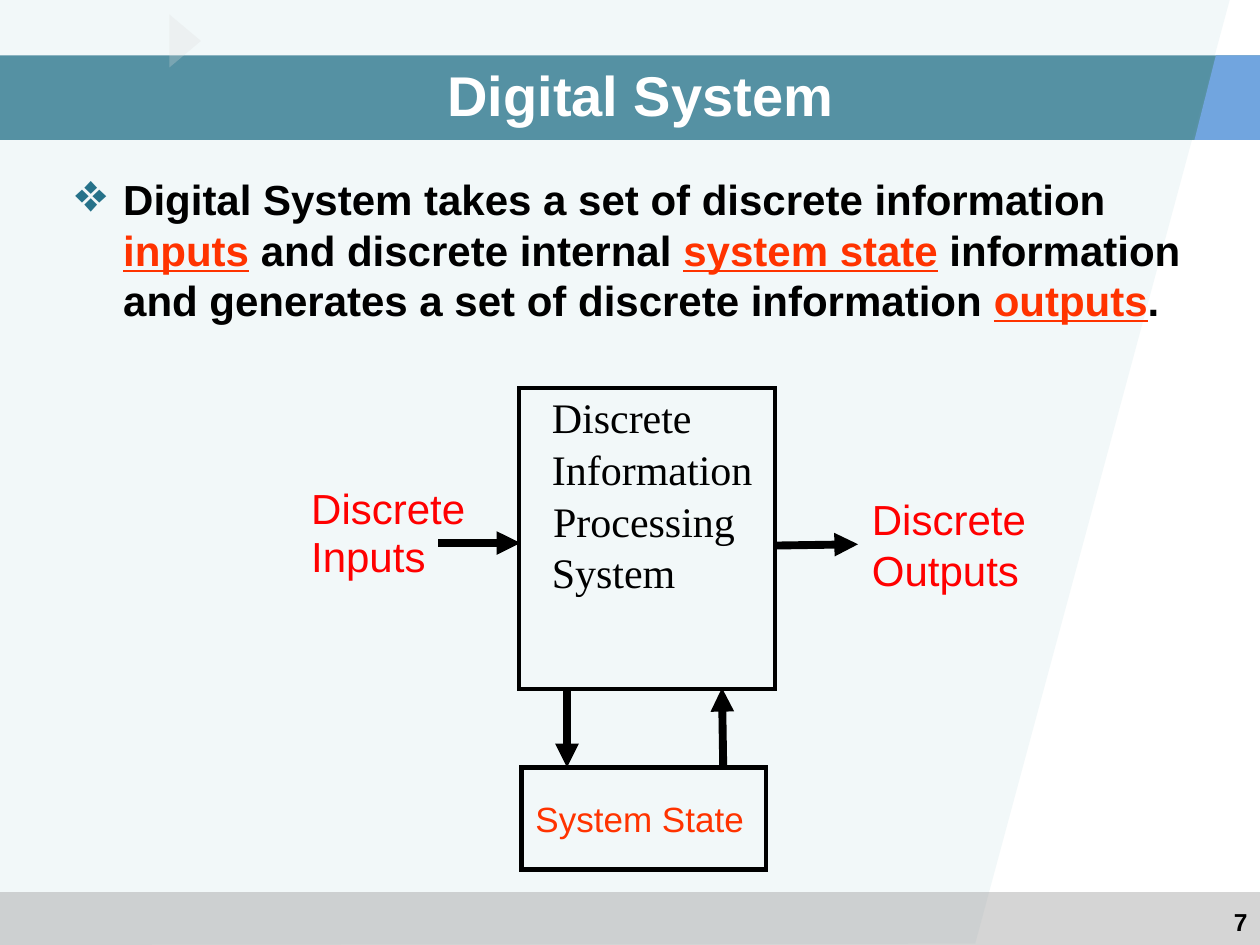
from lxml import etree
from pptx import Presentation
from pptx.dml.color import RGBColor
from pptx.enum.shapes import MSO_CONNECTOR, MSO_SHAPE
from pptx.enum.text import MSO_ANCHOR, MSO_AUTO_SIZE, PP_ALIGN
from pptx.oxml.ns import qn
from pptx.util import Inches, Pt

RECT, TRI = MSO_SHAPE.RECTANGLE, MSO_SHAPE.ISOSCELES_TRIANGLE
LEFT, MID, RIGHT = PP_ALIGN.LEFT, PP_ALIGN.CENTER, PP_ALIGN.RIGHT
GROW = MSO_AUTO_SIZE.SHAPE_TO_FIT_TEXT
BLACK, WHITE, RED, ORANGE, TEAL = "000000", "FFFFFF", "FF0000", "FF3300", "26728A"


def paint(shape, color, alpha=100):
    """Fill a shape with one colour, without line or shadow."""
    shape.shadow.inherit = False
    shape.line.fill.background()
    shape.fill.solid()
    shape.fill.fore_color.rgb = RGBColor.from_string(color)
    if alpha < 100:
        tone = shape.fill._xPr.find(qn("a:solidFill"))[0]
        etree.SubElement(tone, qn("a:alpha"), val=str(alpha * 1000))


def write(place, runs, size, bold=False, font="Arial", align=LEFT, wrap=True, pad=True):
    """Add a text box; runs are (text, colour, underline)."""
    frame = slide.shapes.add_textbox(*map(Inches, place)).text_frame
    frame.word_wrap = wrap
    if not pad:
        frame.margin_left = frame.margin_right = 0
        frame.margin_top = frame.margin_bottom = 0
    par = frame.paragraphs[0]
    par.alignment = align
    for text, color, line in runs:
        run = par.add_run()
        run.text = text
        run.font.name, run.font.size = font, Pt(size)
        run.font.bold, run.font.underline = bold, line
        run.font.color.rgb = RGBColor.from_string(color)
    return frame


deck = Presentation()
deck.slide_width, deck.slide_height = Inches(10), Inches(7.5)
slide = deck.slides.add_slide(deck.slide_layouts[6])
shapes = slide.shapes

# Backdrop: slanted panel, footer, title band, corner, small triangle
panel = [(0, 0), (9.76, 0), (7.74, 7.49), (0, 7.5)]
corner = [(9.65, 0.44), (9.48, 1.11), (10, 1.11), (10, 0.44)]
for item, color, alpha in [
    (panel, "9FCAD3", 13),
    ((RECT, 0, 7.08, 10, 0.42, 0), "969696", 40),
    ((RECT, 0, 0.44, 10, 0.67, 0), TEAL, 77),
    (corner, "71A5DF", 100),
    ((TRI, 1.26, 0.2, 0.42, 0.25, 90), "DDDDDD", 27),
]:
    if isinstance(item, list):
        points = [(Inches(x), Inches(y)) for x, y in item]
        path = shapes.build_freeform(*points[0])
        path.add_line_segments(points[1:], close=True)
        shape = path.convert_to_shape()
    else:
        kind, *place, turn = item
        shape = shapes.add_shape(kind, *map(Inches, place))
        shape.rotation = turn
    paint(shape, color, alpha)

# Page number and title
write((7.67, 7.15, 2.33, 0.35), [("7", BLACK, False)], 14, True, align=RIGHT)
title = write((0.5, 0.5, 9.17, 0.5), [("Digital System", WHITE, False)], 32, True, align=MID)
title.vertical_anchor = MSO_ANCHOR.MIDDLE

# Bulleted statement
body = write((0.5, 1.33, 9, 5.58), [
    ("Digital System takes a set of discrete information ", BLACK, False),
    ("inputs", ORANGE, True),
    (" and discrete internal ", BLACK, False),
    ("system state", ORANGE, True),
    (" information and generates a set of discrete information ", BLACK, False),
    ("outputs", ORANGE, True),
    (".", BLACK, False),
], 24, True)
props = body.paragraphs[0]._p.get_or_add_pPr()
props.set("marL", str(Inches(0.38)))
props.set("indent", str(-Inches(0.38)))
tint = etree.SubElement(props, qn("a:buClr"))
etree.SubElement(tint, qn("a:srgbClr"), val=TEAL)
etree.SubElement(props, qn("a:buSzPct"), val="130000")
etree.SubElement(props, qn("a:buChar"), char="❖")

# Diagram boxes
for place in [(4.12, 3.08, 2.03, 2.39), (4.14, 6.09, 1.94, 0.81)]:
    box = shapes.add_shape(RECT, *map(Inches, place))
    box.shadow.inherit = False
    box.fill.background()
    box.line.color.rgb = RGBColor.from_string(BLACK)
    box.line.width = Pt(2.5)
    etree.SubElement(box.line._get_or_add_ln(), qn("a:miter"), lim="800000")

# Arrows: to state, from state, input, output
for ends in [
    (4.5, 5.47, 4.5, 6.09),
    (5.74, 6.08, 5.73, 5.46),
    (3.48, 4.31, 4.13, 4.31),
    (6.14, 4.33, 6.81, 4.32),
]:
    arrow = shapes.add_connector(MSO_CONNECTOR.STRAIGHT, *map(Inches, ends))
    arrow.line.color.rgb = RGBColor.from_string(BLACK)
    arrow.line.width = Pt(4.5)
    etree.SubElement(arrow.line._get_or_add_ln(), qn("a:tailEnd"), type="triangle")
    etree.SubElement(arrow._element.spPr, qn("a:effectLst"))

# Diagram labels
for text, x, y, wide, color, size, font in [
    ("System State", 4.25, 6.33, 1.66, ORANGE, 20, "Arial"),
    ("Discrete", 2.47, 3.83, 1.24, RED, 24, "Arial"),
    ("Inputs", 2.47, 4.21, 0.93, RED, 24, "Arial"),
    ("Discrete", 6.92, 3.92, 1.24, RED, 24, "Arial"),
    ("Outputs", 6.92, 4.32, 1.19, RED, 24, "Arial"),
    ("Discrete", 4.38, 3.11, 1.13, BLACK, 24, "Times New Roman"),
    ("Information", 4.38, 3.52, 1.61, BLACK, 24, "Times New Roman"),
    ("Processing", 4.39, 3.93, 1.47, BLACK, 24, "Times New Roman"),
    ("System", 4.38, 4.34, 1, BLACK, 24, "Times New Roman"),
]:
    label = write((x, y, wide, size / 60), [(text, color, False)], size,
                  font=font, wrap=False, pad=False)
    label.auto_size = GROW

deck.save("out.pptx")
